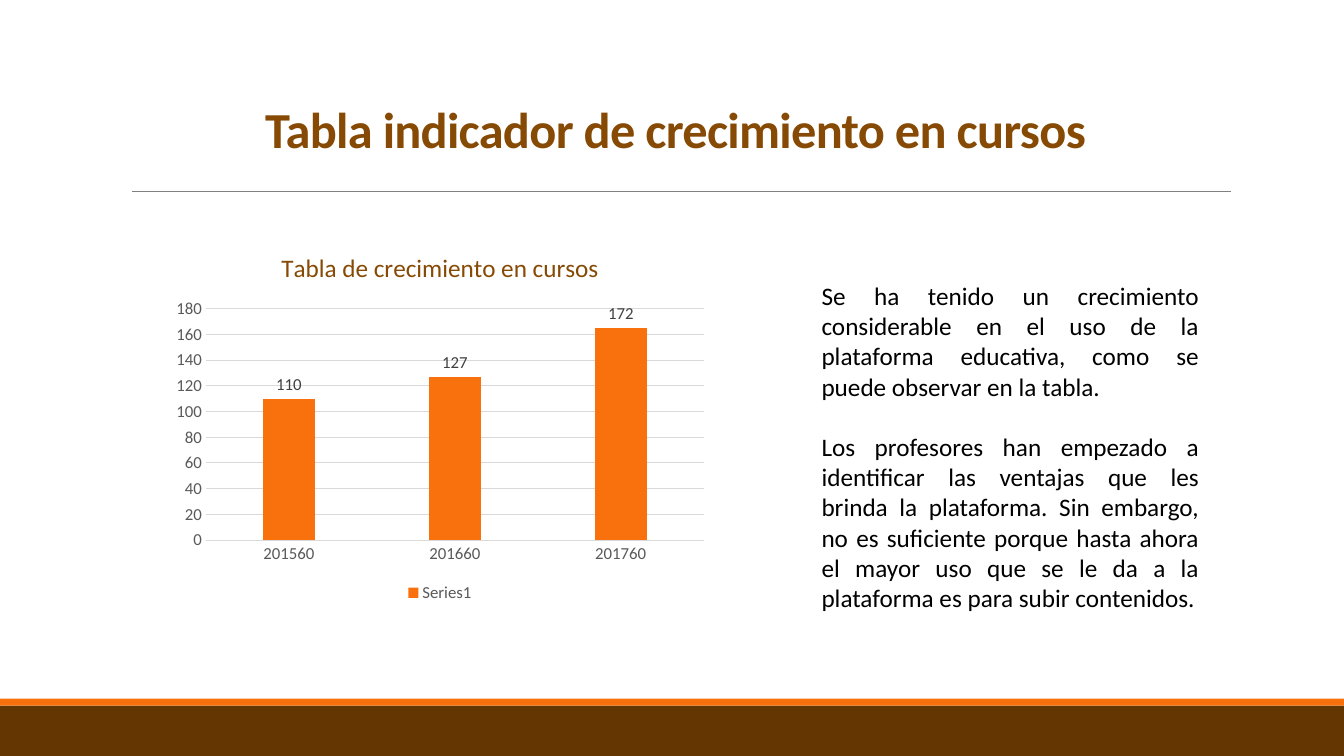
from dataclasses import dataclass

from lxml.etree import SubElement
from pptx import Presentation
from pptx.chart.data import CategoryChartData
from pptx.dml.color import RGBColor
from pptx.enum.chart import XL_CHART_TYPE, XL_LABEL_POSITION, XL_LEGEND_POSITION, XL_TICK_MARK
from pptx.enum.shapes import MSO_CONNECTOR, MSO_SHAPE
from pptx.enum.text import MSO_ANCHOR, MSO_AUTO_SIZE, PP_ALIGN
from pptx.oxml.ns import qn
from pptx.util import Inches, Pt

HEADING = "Tabla indicador de crecimiento en cursos"
CHART_HEADING = "Tabla de crecimiento en cursos"
SERIES = "Series1"
COURSES = {"201560": 110, "201660": 127, "201760": 165}
LABEL_OVERRIDES = {2: "172"}
COMMENTARY = [
    "Se ha tenido un crecimiento considerable en el uso de la plataforma educativa, "
    "como se puede observar en la tabla.",
    "Los profesores han empezado a identificar las ventajas que les brinda la plataforma. "
    "Sin embargo, no es suficiente porque hasta ahora el mayor uso que se le da a la "
    "plataforma es para subir contenidos.",
]

COLUMNS = ROWS = 100
HEADING_AREA = (9, 6.27, 82.52, 15.47)
RULE_AREA = (9.83, 25.33, 81.77, 0)
CHART_AREA = (12.3, 30.8, 40.88, 49.47)
COMMENTARY_AREA = (60.39, 36.4, 29.56, 45.73)
FOOTER_AREA = (0, 93.33, 100, 6.67)
STRIPE_AREA = (0, 92.4, 100, 0.93)


@dataclass(frozen=True)
class Theme:
    face: str = "Calibri"
    brown: str = "864A04"
    footer: str = "643702"
    orange: str = "F8710C"
    rule: str = "808080"
    grid: str = "D9D9D9"
    axis: str = "595959"
    label: str = "404040"
    body: str = "000000"
    heading_size: int = 36
    body_size: int = 18
    axis_size: int = 12


theme = Theme()


def style(font, size, color, bold=False):
    font.name = theme.face
    font.size = Pt(size)
    font.bold = bold
    font.color.rgb = RGBColor.from_string(color)


def paint(fill, color):
    fill.solid()
    fill.fore_color.rgb = RGBColor.from_string(color)


def stroke(line, color, width):
    line.color.rgb = RGBColor.from_string(color)
    line.width = Pt(width)


def area(cells):
    left, top, width, height = cells
    column, row = deck.slide_width / COLUMNS, deck.slide_height / ROWS
    return [round(v) for v in (left * column, top * row, width * column, height * row)]


def add_band(slide, cells, color):
    band = slide.shapes.add_shape(MSO_SHAPE.RECTANGLE, *area(cells))
    band.shadow.inherit = False
    paint(band.fill, color)
    band.line.fill.background()


def add_rule(slide):
    left, top, width, height = area(RULE_AREA)
    rule = slide.shapes.add_connector(MSO_CONNECTOR.STRAIGHT, left, top, left + width, top + height)
    stroke(rule.line, theme.rule, 0.5)
    SubElement(rule._element.spPr, qn("a:effectLst"))


def add_heading(slide):
    heading = slide.shapes.title
    heading.left, heading.top, heading.width, heading.height = area(HEADING_AREA)
    frame = heading.text_frame
    frame.text = HEADING
    frame.word_wrap = True
    frame.auto_size = MSO_AUTO_SIZE.NONE
    frame.vertical_anchor = MSO_ANCHOR.BOTTOM
    line = frame.paragraphs[0]
    line.alignment = PP_ALIGN.CENTER
    line.line_spacing = 0.85
    run = line.runs[0]
    style(run.font, theme.heading_size, theme.brown, bold=True)
    run._r.get_or_add_rPr().set("spc", "-50")


def add_growth_chart(slide):
    growth = CategoryChartData()
    growth.categories = list(COURSES)
    growth.add_series(SERIES, list(COURSES.values()))
    chart = slide.shapes.add_chart(XL_CHART_TYPE.COLUMN_CLUSTERED, *area(CHART_AREA), growth).chart
    style(chart.font, theme.axis_size, theme.axis)

    caption = chart.chart_title.text_frame
    caption.text = CHART_HEADING
    style(caption.paragraphs[0].runs[0].font, theme.body_size, theme.brown)
    chart.chart_title.include_in_layout = False

    chart.has_legend = True
    chart.legend.position = XL_LEGEND_POSITION.BOTTOM
    chart.legend.include_in_layout = False
    style(chart.legend.font, theme.axis_size, theme.axis)

    for axis in (chart.category_axis, chart.value_axis):
        axis.major_tick_mark = axis.minor_tick_mark = XL_TICK_MARK.NONE
        style(axis.tick_labels.font, theme.axis_size, theme.axis)
    stroke(chart.category_axis.format.line, theme.grid, 0.75)
    chart.value_axis.format.line.fill.background()
    stroke(chart.value_axis.major_gridlines.format.line, theme.grid, 0.75)
    chart.value_axis.minimum_scale = 0
    chart.value_axis.maximum_scale = 180
    chart.value_axis.major_unit = 20

    plot = chart.plots[0]
    plot.vary_by_categories = False
    plot.gap_width = 219
    plot.overlap = -27
    courses = plot.series[0]
    paint(courses.format.fill, theme.orange)
    labels = courses.data_labels
    labels.show_value = True
    labels.position = XL_LABEL_POSITION.OUTSIDE_END
    style(labels.font, theme.axis_size, theme.label)
    for index, wording in LABEL_OVERRIDES.items():
        label = courses.points[index].data_label
        label.text_frame.text = wording
        style(label.text_frame.paragraphs[0].runs[0].font, theme.axis_size, theme.label)
        label.position = XL_LABEL_POSITION.OUTSIDE_END


def add_commentary(slide):
    frame = slide.shapes.add_textbox(*area(COMMENTARY_AREA)).text_frame
    frame.word_wrap = True
    frame.auto_size = MSO_AUTO_SIZE.SHAPE_TO_FIT_TEXT
    frame.text = "\n".join(COMMENTARY)
    for index, paragraph in enumerate(frame.paragraphs):
        paragraph.alignment = PP_ALIGN.JUSTIFY
        if index:
            paragraph.space_before = Pt(theme.body_size * 1.2)
        style(paragraph.runs[0].font, theme.body_size, theme.body)


deck = Presentation()
deck.slide_width, deck.slide_height = Inches(13.33), Inches(7.5)
slide = deck.slides.add_slide(deck.slide_layouts[5])
add_band(slide, FOOTER_AREA, theme.footer)
add_band(slide, STRIPE_AREA, theme.orange)
add_rule(slide)
add_heading(slide)
add_growth_chart(slide)
add_commentary(slide)
deck.save("out.pptx")
